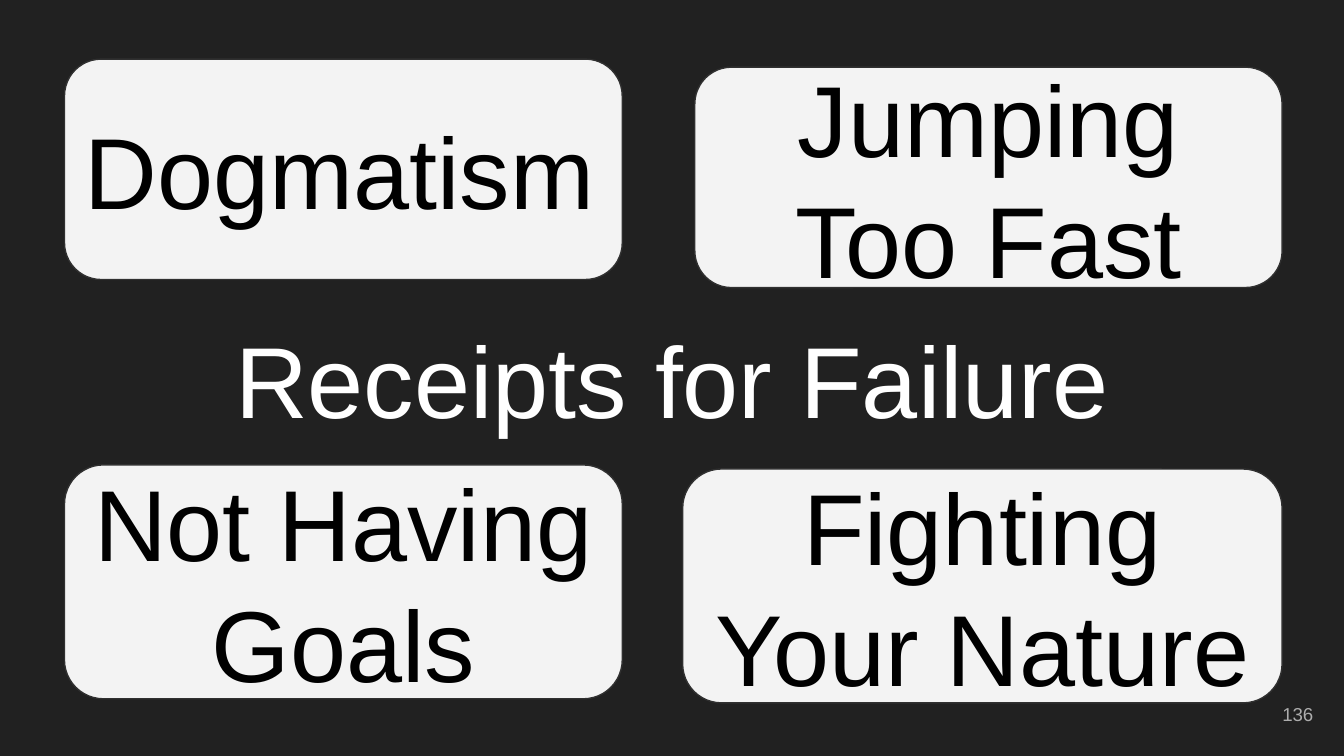
from pptx import Presentation
from pptx.dml.color import RGBColor
from pptx.enum.shapes import MSO_SHAPE
from pptx.enum.text import MSO_ANCHOR, PP_ALIGN
from pptx.util import Inches, Pt

ROUNDED = MSO_SHAPE.ROUNDED_RECTANGLE
MIDDLE = MSO_ANCHOR.MIDDLE
LEFT, CENTER, RIGHT = PP_ALIGN.LEFT, PP_ALIGN.CENTER, PP_ALIGN.RIGHT

FONT = "Arial"
HEADLINE_SIZE = 54
MISTAKES = [
    ("Dogmatism", (0.48, 0.44, 4.15, 1.64), LEFT),
    ("Jumping Too Fast", (5.17, 0.5, 4.37, 1.64), CENTER),
    ("Not Having Goals", (0.48, 3.46, 4.15, 1.74), CENTER),
    ("Fighting Your Nature", (5.08, 3.49, 4.46, 1.74), CENTER),
]


def paint(color_format, color):
    """Set a fill or font colour from a hex string."""
    color_format.rgb = RGBColor.from_string(color)


def write(frame, text, size, color, align, inset):
    """Put one vertically centred paragraph into a text frame."""
    frame.word_wrap = True
    frame.vertical_anchor = MIDDLE
    frame.margin_left = frame.margin_right = Inches(inset)
    frame.margin_top = frame.margin_bottom = Inches(inset)
    paragraph = frame.paragraphs[0]
    paragraph.text = text
    paragraph.alignment = align
    paragraph.font.name = FONT
    paragraph.font.size = Pt(size)
    paint(paragraph.font.color, color)


def add_label(slide, text, bounds, size, color, align):
    """Add text directly on the background."""
    label = slide.shapes.add_textbox(*map(Inches, bounds))
    write(label.text_frame, text, size, color, align, 0.1)


def add_card(slide, text, bounds, align):
    """Add a light rounded card naming one mistake."""
    card = slide.shapes.add_shape(ROUNDED, *map(Inches, bounds))
    card.adjustments[0] = 1 / 6
    card.shadow.inherit = False
    card.fill.solid()
    paint(card.fill.fore_color, "F3F3F3")
    paint(card.line.color, "303030")
    card.line.width = Pt(0.75)
    write(card.text_frame, text, HEADLINE_SIZE, "000000", align, 0.07)


def main():
    """Build and save the slide."""
    deck = Presentation()
    deck.slide_width = Inches(10)
    deck.slide_height = Inches(10 * 9 / 16)
    slide = deck.slides.add_slide(deck.slide_layouts[6])
    slide.background.fill.solid()
    paint(slide.background.fill.fore_color, "212121")

    add_label(slide, "Receipts for Failure", (0.34, 2.35, 9.32, 0.92),
              HEADLINE_SIZE, "FFFFFF", CENTER)
    add_label(slide, "136", (9.27, 5.1, 0.6, 0.43), 10, "ADADAD", RIGHT)
    for mistake, bounds, align in MISTAKES:
        add_card(slide, mistake, bounds, align)

    deck.save("out.pptx")


if __name__ == "__main__":
    main()
